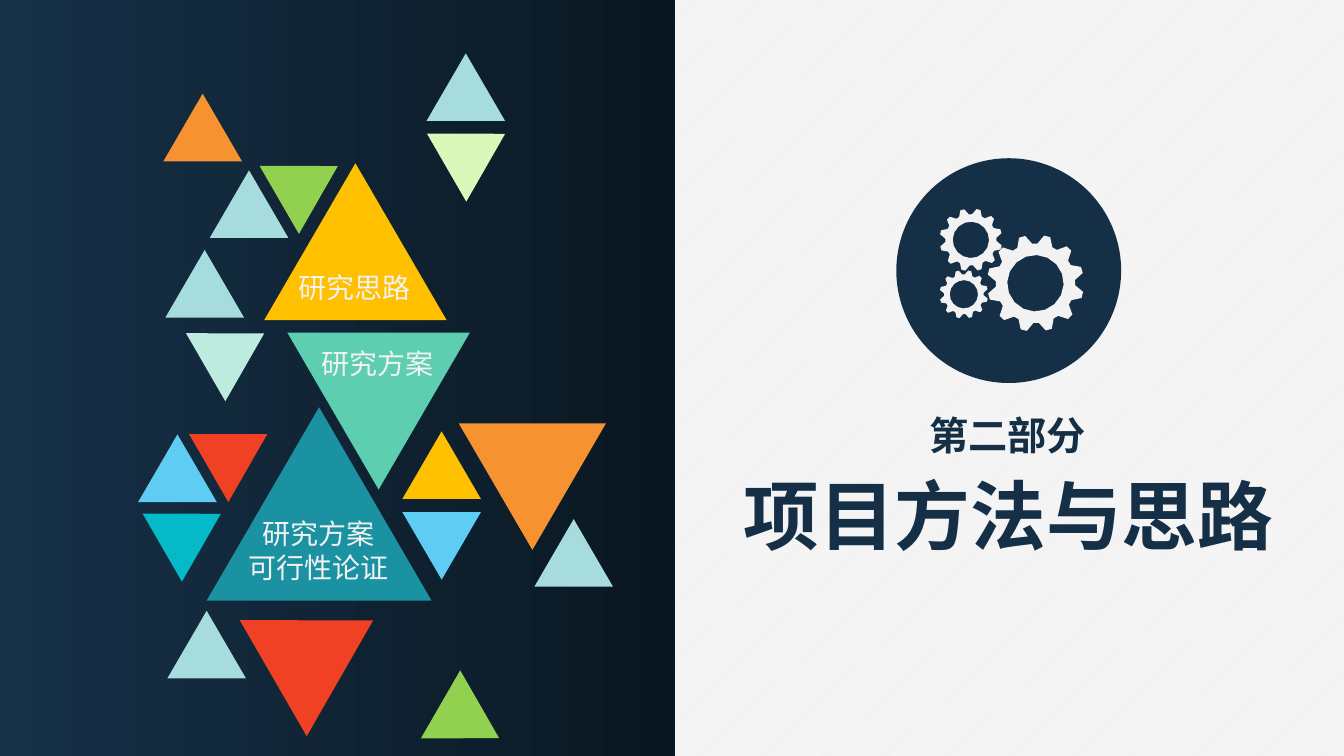
import math
from lxml import etree
from pptx import Presentation
from pptx.dml.color import RGBColor
from pptx.enum.dml import MSO_PATTERN
from pptx.enum.shapes import MSO_SHAPE
from pptx.enum.text import MSO_ANCHOR, MSO_AUTO_SIZE, PP_ALIGN
from pptx.oxml.ns import qn
from pptx.util import Inches, Pt

RECTANGLE, OVAL = MSO_SHAPE.RECTANGLE, MSO_SHAPE.OVAL
TRIANGLE = MSO_SHAPE.ISOSCELES_TRIANGLE
CENTER, LEFT = PP_ALIGN.CENTER, PP_ALIGN.LEFT
FONT = "Noto Sans CJK SC"
NAVY, LIGHT, PALE_TEAL = "152F47", "F2F2F2", "A7DCDE"
ORANGE, AMBER, GREEN, SKY, RED = "F69230", "FFC000", "92D050", "5ECCF3", "F14124"


def color(hex_string):
    return RGBColor.from_string(hex_string)


def write(box, text, size, text_color, bold, align):
    frame = box.text_frame
    frame.word_wrap = False
    frame.auto_size = MSO_AUTO_SIZE.NONE
    frame.vertical_anchor = MSO_ANCHOR.TOP
    frame.text = text
    for para in frame.paragraphs:
        para.alignment = align
        para.space_before = Pt(0)
        for span in para.runs:
            span.font.name = FONT
            span.font.size = Pt(size)
            span.font.bold = bold
            span.font.color.rgb = color(text_color)
            east_asian = etree.SubElement(span.font._element, qn("a:ea"))
            east_asian.set("typeface", FONT)


deck = Presentation()
deck.slide_width, deck.slide_height = Inches(13.33), Inches(7.5)
page = deck.slides.add_slide(deck.slide_layouts[0])

# Striped background
backdrop = page.background.fill
backdrop.patterned()
backdrop.pattern = MSO_PATTERN.LIGHT_UPWARD_DIAGONAL
backdrop.fore_color.rgb = color("FFFFFF")
backdrop.back_color.rgb = color(LIGHT)

# Dark gradient panel
panel = page.shapes.add_shape(RECTANGLE, 0, 0, Inches(6.69), Inches(7.5))
panel.shadow.inherit = False
panel.line.fill.background()
panel.fill.gradient()
panel.fill.gradient_angle = 0
for stop, shade in zip(panel.fill.gradient_stops, ("163048", "0A1721")):
    stop.color.rgb = color(shade)

# Section title and number
headings = [
    (page.shapes.title, "项目方法与思路", 54, (7.25, 4.6, 5.5, 1.01)),
    (page.placeholders[1], "第二部分", 28, (9.11, 4.03, 1.77, 0.57)),
]
for holder, text, size, place in headings:
    holder.left, holder.top, holder.width, holder.height = map(Inches, place)
    write(holder, text, size, NAVY, True, CENTER)

# Round badge
badge = page.shapes.add_shape(OVAL, Inches(8.89), Inches(1.57), Inches(2.23), Inches(2.23))
badge.shadow.inherit = False
badge.fill.solid()
badge.fill.fore_color.rgb = color(NAVY)
badge.line.fill.background()

# Gears: centre x, centre y, outer radius, hole radius
TEETH, TILT = 12, 14
TOOTH_PROFILE = (0.82, 1, 1, 0.82)
HOLE_POINTS = 16
for center_x, center_y, radius, hole in [
    (10.27, 2.81, 0.48, 0.28), (9.63, 2.38, 0.31, 0.18), (9.56, 2.92, 0.24, 0.14),
]:
    outlines = []
    for reaches in ([radius * part for part in TOOTH_PROFILE] * TEETH, [hole] * HOLE_POINTS):
        points = []
        for index, reach in enumerate(reaches):
            angle = math.radians(TILT) + math.tau * (index - 1.5) / len(reaches)
            points.append((Inches(center_x + reach * math.cos(angle)),
                           Inches(center_y + reach * math.sin(angle))))
        outlines.append(points)
    rim, bore = outlines
    builder = page.shapes.build_freeform(*rim[0])
    builder.add_line_segments(rim[1:], close=True)
    builder.move_to(*bore[0])
    builder.add_line_segments(bore[1:], close=True)
    gear = builder.convert_to_shape()
    gear.shadow.inherit = False
    gear.fill.solid()
    gear.fill.fore_color.rgb = color(LIGHT)
    gear.line.fill.background()

# Triangles: left, top, width, rotation, colour
SMALL = 0.78
for left, top, width, rotation, shade in [
    (1.64, 2.48, SMALL, 0, PALE_TEAL),
    (4.23, 0.53, SMALL, 0, PALE_TEAL),
    (1.94, 3.14, SMALL, 60, "BEEBDF"),
    (2.85, 3.3, 1.81, 180, "5DCEAF"),
    (2.05, 4.04, 2.23, 0, "1A92A2"),
    (1.66, 6.06, SMALL, 0, PALE_TEAL),
    (1.37, 4.31, SMALL, 0, SKY),
    (1.62, 0.93, SMALL, 0, ORANGE),
    (2.08, 1.69, SMALL, 0, PALE_TEAL),
    (2.67, 1.48, SMALL, 60, GREEN),
    (4.33, 1.16, SMALL, 60, "DCF7BA"),
    (1.51, 4.93, SMALL, 60, "05BAC8"),
    (4.55, 4.2, 1.46, 180, ORANGE),
    (3.99, 4.28, SMALL, 0, AMBER),
    (3.99, 5.08, SMALL, 180, SKY),
    (1.97, 4.14, SMALL, 60, RED),
    (2.54, 5.87, 1.33, 60, RED),
    (5.3, 5.15, SMALL, 0, PALE_TEAL),
    (2.62, 1.62, 1.81, 0, AMBER),
    (4.27, 6.82, SMALL, 120, GREEN),
]:
    triangle = page.shapes.add_shape(
        TRIANGLE, Inches(left), Inches(top), Inches(width), Inches(width * 0.86))
    triangle.rotation = rotation
    triangle.shadow.inherit = False
    triangle.fill.solid()
    triangle.fill.fore_color.rgb = color(shade)
    triangle.line.fill.background()

# Labels on the large triangles
for text, align, place in [
    ("研究思路", LEFT, (2.86, 2.63, 1.32, 0.44)),
    ("研究方案", LEFT, (3.09, 3.39, 1.32, 0.44)),
    ("研究方案\n可行性论证", CENTER, (2.36, 5.08, 1.6, 0.77)),
]:
    label = page.shapes.add_textbox(*map(Inches, place))
    write(label, text, 20, LIGHT, False, align)

deck.save("out.pptx")
